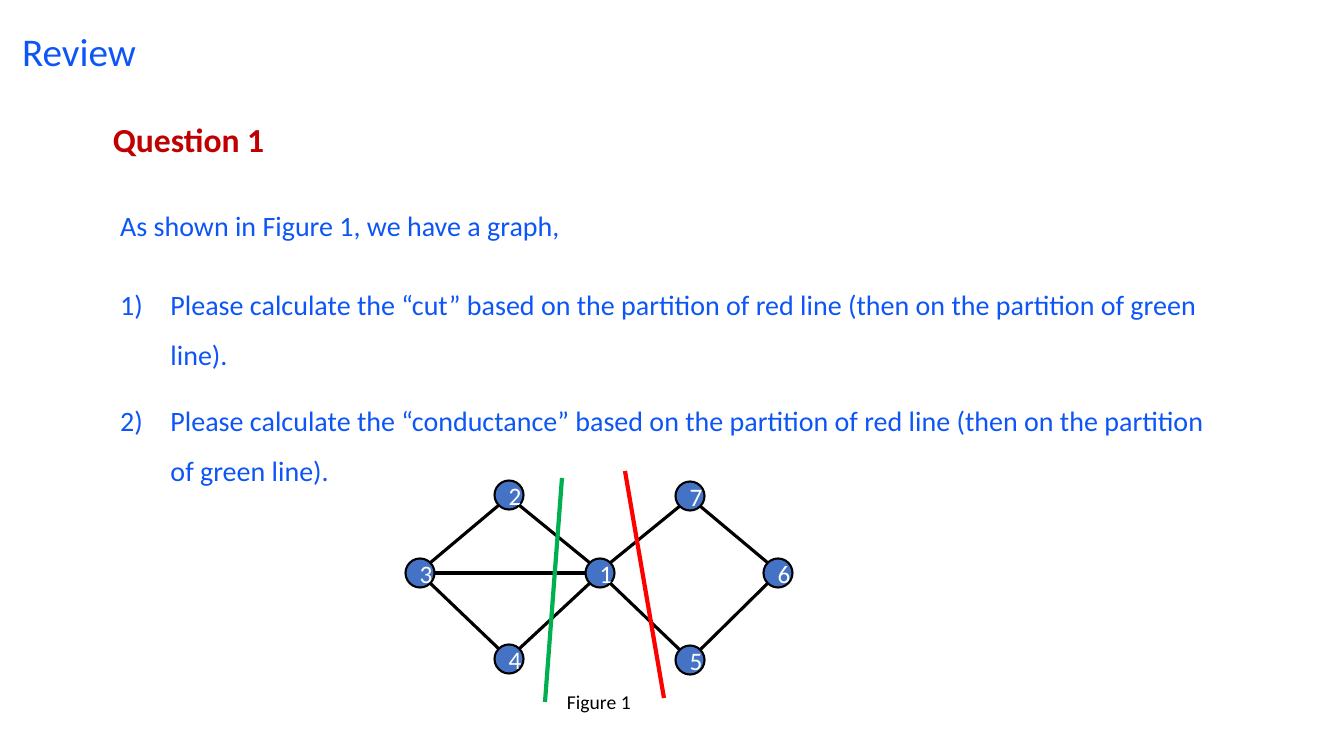
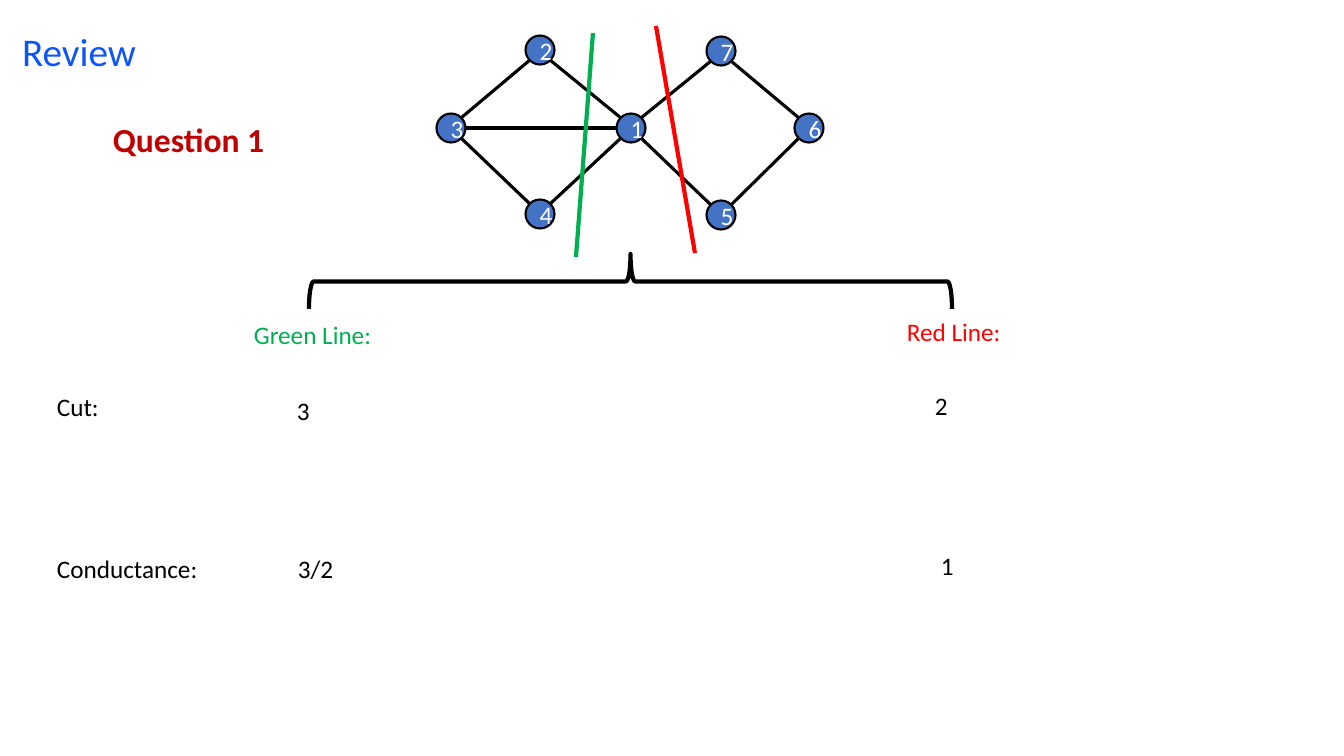
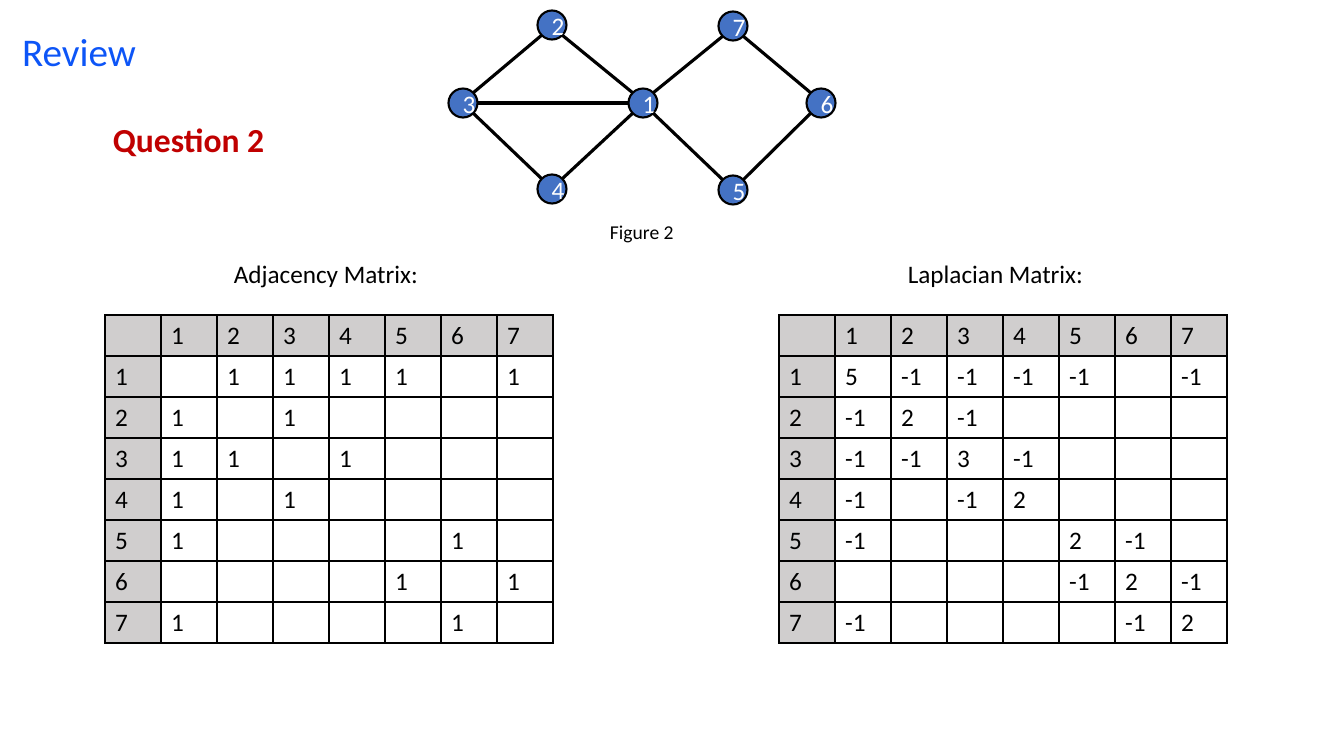
from dataclasses import dataclass
from typing import Callable, Optional

from lxml import etree
from pptx import Presentation
from pptx import util as u
from pptx.dml.color import RGBColor
from pptx.enum import shapes, text
from pptx.oxml.ns import qn
from pptx.shapes.shapetree import GroupShapes
from pptx.slide import Slide

# Shared look
PX = 914400 / 100.8
FONT = "Calibri"
COLORS = {
    "blue": "0D55F7",
    "dark_red": "C00000",
    "node": "4472C4",
    "black": "000000",
    "white": "FFFFFF",
    "red": "FF0000",
    "green": "00B050",
    "header": "D0CECE",
}
TITLE_ONLY, TITLE_AND_BODY = 5, 1


@dataclass(frozen=True)
class Box:
    x: int
    y: int
    w: int
    h: int

    def emu(self) -> tuple[u.Emu, u.Emu, u.Emu, u.Emu]:
        return px(self.x), px(self.y), px(self.w), px(self.h)


@dataclass(frozen=True)
class Label:
    words: str
    box: Box
    color: str = "black"
    size: int = 18


@dataclass(frozen=True)
class Cut:
    """A partition line, measured from the centre of node 1."""
    color: str
    start: tuple[int, int]
    end: tuple[int, int]


@dataclass(frozen=True)
class Matrix:
    heading: Label
    x: int
    entry: Callable[[int, int], str]


# The graph: node centres measured from node 1
NODES = {
    1: (0, 0), 2: (-91, -78), 3: (-180, 0), 4: (-91, 86),
    5: (90, 87), 6: (178, 0), 7: (90, -77),
}
EDGES = [(1, 2), (1, 7), (3, 1), (2, 3), (4, 1), (5, 1), (7, 6), (5, 6), (4, 3)]
CUTS = [Cut("red", (25, -102), (64, 125)), Cut("green", (-38, -95), (-55, 129))]
NODE_SIZE = 29
DIAGONAL = 10

prs = Presentation()
prs.slide_width, prs.slide_height = u.Emu(12192000), u.Emu(6858000)


# Helpers
def px(n: float) -> u.Emu:
    return u.Emu(round(n * PX))


def rgb(name: str) -> RGBColor:
    return RGBColor.from_string(COLORS[name])


def add_run(p, words: str, size: int, color: str, bold: bool = False) -> None:
    r = p.add_run()
    r.text = words
    r.font.name, r.font.size, r.font.bold = FONT, u.Pt(size), bold
    r.font.color.rgb = rgb(color)


def add_label(tree, label: Label):
    sp = tree.add_textbox(*label.box.emu())
    tf = sp.text_frame
    tf.word_wrap = True
    add_run(tf.paragraphs[0], label.words, label.size, label.color)
    return sp


def new_slide(layout: int, question: str) -> Slide:
    s = prs.slides.add_slide(prs.slide_layouts[layout])
    title = s.shapes.title
    title.left, title.top, title.width, title.height = Box(12, 12, 1159, 83).emu()
    heading = s.shapes.add_textbox(*Box(103, 100, 1159, 83).emu())
    for sp, words, size, color, bold in (
        (title, "Review", 28, "blue", False),
        (heading, question, 24, "dark_red", True),
    ):
        tf = sp.text_frame
        tf.word_wrap = True
        tf.auto_size = text.MSO_AUTO_SIZE.NONE
        tf.vertical_anchor = text.MSO_ANCHOR.MIDDLE
        p = tf.paragraphs[0]
        p.alignment, p.line_spacing = text.PP_ALIGN.LEFT, 0.9
        add_run(p, words, size, color, bold)
    return s


def add_line(tree: GroupShapes, start: tuple[float, float], end: tuple[float, float],
             color: str, width: float) -> None:
    c = tree.add_connector(shapes.MSO_CONNECTOR.STRAIGHT,
                           *(px(n) for n in (*start, *end)))
    c.line.color.rgb, c.line.width = rgb(color), u.Pt(width)
    etree.SubElement(c._element.spPr, qn("a:effectLst"))


def rim_point(node: int, other: int, x: int, y: int) -> tuple[float, float]:
    """Point on the rim of a node where the edge to another node leaves."""
    (nx, ny), (ox, oy) = NODES[node], NODES[other]
    side = 1 if ox > nx else -1
    if ny == oy:
        return x + nx + side * NODE_SIZE / 2, y + ny
    return x + nx + side * DIAGONAL, y + ny + (DIAGONAL if oy > ny else -DIAGONAL)


def add_graph(s: Slide, x: int, y: int, cuts: list[Cut],
              caption: Optional[str] = None) -> None:
    tree = s.shapes.add_group_shape().shapes
    for node, (dx, dy) in NODES.items():
        sp = tree.add_shape(
            shapes.MSO_SHAPE.OVAL, px(x + dx - NODE_SIZE / 2),
            px(y + dy - NODE_SIZE / 2), px(NODE_SIZE), px(NODE_SIZE))
        sp.shadow.inherit = False
        sp.fill.solid()
        sp.fill.fore_color.rgb = rgb("node")
        sp.line.color.rgb, sp.line.width = rgb("black"), u.Pt(1.5)
        p = sp.text_frame.paragraphs[0]
        p.alignment = text.PP_ALIGN.CENTER
        add_run(p, str(node), 18, "white")
    for a, b in EDGES:
        add_line(tree, rim_point(a, b, x, y), rim_point(b, a, x, y), "black", 2.25)
    for cut in cuts:
        (x1, y1), (x2, y2) = cut.start, cut.end
        add_line(tree, (x + x1, y + y1), (x + x2, y + y2), cut.color, 3)
    if caption:
        add_label(tree, Label(caption, Box(x - 43, y + 112, 88, 34), size=14))


def linked(a: int, b: int) -> bool:
    return (a, b) in EDGES or (b, a) in EDGES


def adjacency(a: int, b: int) -> str:
    return "1" if linked(a, b) else ""


def laplacian(a: int, b: int) -> str:
    if a == b:
        return str(sum(a in edge for edge in EDGES))
    return "-1" if linked(a, b) else ""


def border_cell(cell) -> None:
    tc_pr = cell._tc.get_or_add_tcPr()
    for i, side in enumerate(("lnL", "lnR", "lnT", "lnB")):
        ln = etree.Element(qn(f"a:{side}"), w=str(u.Pt(1)))
        fill = etree.SubElement(ln, qn("a:solidFill"))
        etree.SubElement(fill, qn("a:srgbClr"), val=COLORS["black"])
        tc_pr.insert(i, ln)


def add_matrix(s: Slide, matrix: Matrix) -> None:
    add_label(s.shapes, matrix.heading)
    n = len(NODES) + 1
    col, row = 56, 41
    table = s.shapes.add_table(n, n, *Box(matrix.x, 315, col * n, row * n).emu()).table
    table.first_row = table.horz_banding = False
    for i in range(n):
        for j in range(n):
            cell = table.cell(i, j)
            if i and j:
                cell.fill.background()
                words = matrix.entry(i, j)
            else:
                cell.fill.solid()
                cell.fill.fore_color.rgb = rgb("header")
                words = str(i + j) if i + j else ""
            border_cell(cell)
            if words:
                add_run(cell.text_frame.paragraphs[0], words, 18, "black")


# Slide 1: the question
s = new_slide(TITLE_AND_BODY, "Question 1")
body = s.placeholders[1]
body.left, body.top, body.width, body.height = Box(110, 187, 1124, 331).emu()
tf = body.text_frame
tf.auto_size = text.MSO_AUTO_SIZE.NONE
tf.vertical_anchor = text.MSO_ANCHOR.TOP
TASK = "Please calculate the “{}” based on the partition of red line (then on the partition of green line)."
LINES = [
    ("As shown in Figure 1, we have a graph,", 0, False),
    (TASK.format("cut"), 20, True),
    (TASK.format("conductance"), 11, True),
]
for i, (words, space, numbered) in enumerate(LINES):
    p = tf.add_paragraph() if i else tf.paragraphs[0]
    p.line_spacing, p.space_before, p.space_after = 1.5, u.Pt(space), u.Pt(0)
    p.alignment = text.PP_ALIGN.LEFT
    indent = u.Inches(0.5) if numbered else 0
    p_pr = p._p.get_or_add_pPr()
    p_pr.set("marL", str(indent))
    p_pr.set("indent", str(-indent))
    if numbered:
        etree.SubElement(p_pr, qn("a:buFont"), typeface="+mj-lt")
        etree.SubElement(p_pr, qn("a:buAutoNum"), type="arabicParenR")
    else:
        etree.SubElement(p_pr, qn("a:buNone"))
    add_run(p, words, 20, "blue")
add_graph(s, 600, 573, CUTS, "Figure 1")

# Slide 2: cut and conductance of both partitions
s = new_slide(TITLE_ONLY, "Question 1")
brace = s.shapes.add_shape(shapes.MSO_SHAPE.LEFT_BRACE, *Box(603, -40, 55, 643).emu())
brace.rotation = 90
brace.shadow.inherit = False
brace.fill.background()
brace.line.color.rgb, brace.line.width = rgb("black"), u.Pt(3)
for label in (
    Label("Green Line:", Box(244, 314, 168, 40), "green"),
    Label("Red Line:", Box(897, 311, 168, 40), "red"),
    Label("Cut:", Box(47, 386, 112, 40)),
    Label("3", Box(287, 390, 112, 40)),
    Label("2", Box(925, 385, 112, 40)),
    Label("Conductance:", Box(47, 548, 183, 40)),
    Label("3/2", Box(288, 548, 112, 40)),
    Label("1", Box(931, 545, 112, 40)),
):
    add_label(s.shapes, label)
add_graph(s, 631, 128, CUTS)

# Slide 3: matrices of the graph
s = new_slide(TITLE_ONLY, "Question 2")
add_graph(s, 643, 103, [], "Figure 2")
for matrix in (
    Matrix(Label("Adjacency Matrix:", Box(224, 253, 239, 40)), 105, adjacency),
    Matrix(Label("Laplacian Matrix:", Box(898, 253, 239, 40)), 779, laplacian),
):
    add_matrix(s, matrix)

prs.save("out.pptx")
